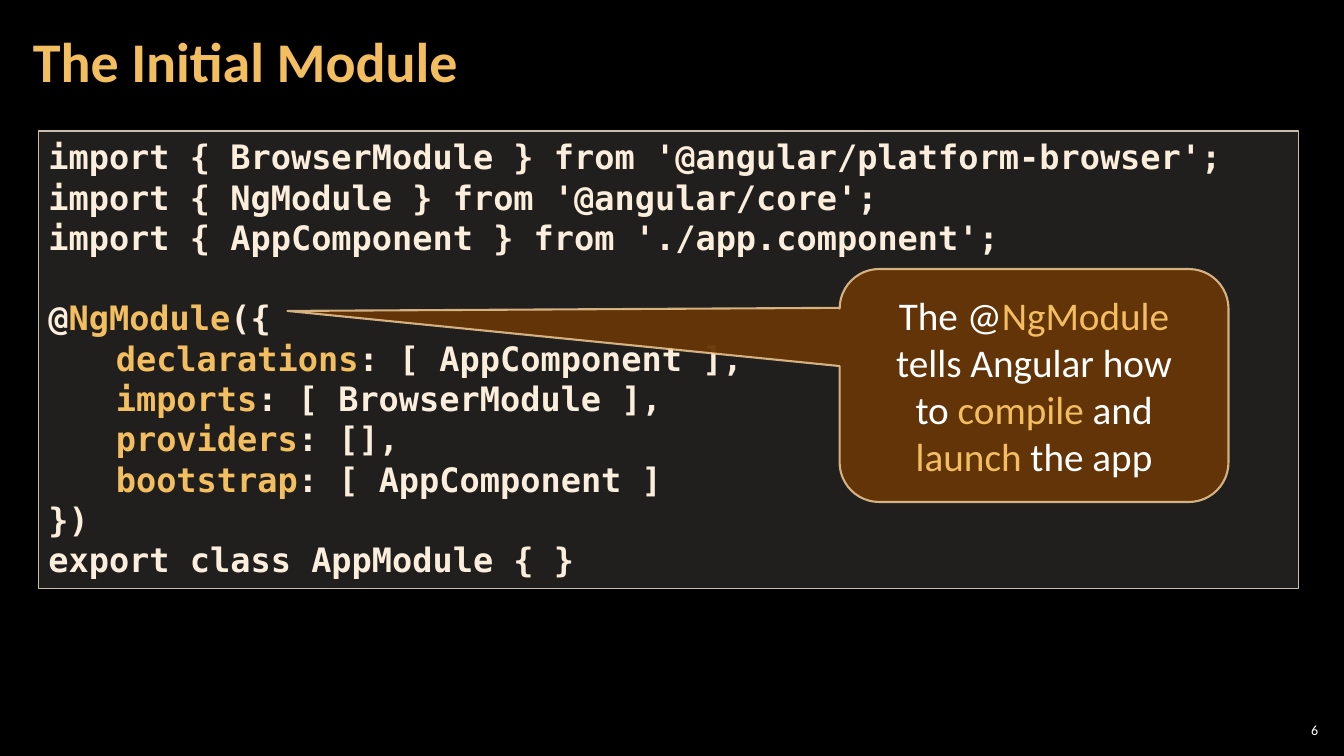
from lxml import etree
from pptx import Presentation
from pptx import util as u
from pptx.dml.color import RGBColor
from pptx.enum import shapes, text
from pptx.oxml import ns

COLORS = {
    "background": "000000",
    "accent": "F3BE60",
    "white": "FFFFFF",
    "code": "FBEEDC",
    "panel": "D9D5C7",
    "panel_edge": "C7BFAC",
    "callout": "663606",
    "callout_edge": "F8D49E",
}


def rgb(name):
    return RGBColor.from_string(COLORS[name])


class SlideBuilder:
    body_font = "Calibri"
    code_font = "DejaVu Sans Mono"

    def __init__(self, deck):
        self.slide = deck.slides.add_slide(deck.slide_layouts[6])
        self.paint(self.slide.background.fill, "background")

    def paint(self, fill, color, opacity=100):
        fill.solid()
        fill.fore_color.rgb = rgb(color)
        if opacity < 100:
            tint = fill._xPr.find(ns.qn("a:solidFill"))[0]
            etree.SubElement(tint, ns.qn("a:alpha"), val=str(opacity * 1000))

    def add_text(self, shape, paragraphs, size, color, font=None, bold=False,
                 align=text.PP_ALIGN.LEFT, anchor=text.MSO_ANCHOR.MIDDLE,
                 inset=(0.25, 0.13)):
        frame = shape.text_frame
        frame.word_wrap = True
        frame.vertical_anchor = anchor
        frame.margin_left = frame.margin_right = u.Cm(inset[0])
        frame.margin_top = frame.margin_bottom = u.Cm(inset[1])
        for index, content in enumerate(paragraphs):
            paragraph = frame.add_paragraph() if index else frame.paragraphs[0]
            paragraph.alignment = align
            for part, words in enumerate(content.split("*")):
                if not words:
                    continue
                run = paragraph.add_run()
                run.text = words
                run.font.name = font or self.body_font
                run.font.size = u.Pt(size)
                run.font.bold = bold
                run.font.color.rgb = rgb("accent" if part % 2 else color)
        return frame.paragraphs

    def label(self, box, content, size, color, **style):
        area = self.slide.shapes.add_textbox(*map(u.Cm, box))
        return self.add_text(area, [content], size, color, **style)

    def panel(self, kind, box, fill, edge, width):
        shape = self.slide.shapes.add_shape(kind, *map(u.Cm, box))
        shape.shadow.inherit = False
        self.paint(shape.fill, *fill)
        self.paint(shape.line.fill, *edge)
        shape.line.width = u.Pt(width)
        return shape

    def code(self, box, lines, gap_before, indented):
        listing = self.panel(shapes.MSO_SHAPE.RECTANGLE, box,
                             ("panel", 15), ("panel_edge",), 1)
        paragraphs = self.add_text(listing, lines, 24, "code",
                                   font=self.code_font, bold=True,
                                   anchor=text.MSO_ANCHOR.TOP)
        paragraphs[gap_before].space_before = u.Pt(28.8)
        for paragraph in paragraphs[indented]:
            paragraph.level = 1
            properties = paragraph._p.get_or_add_pPr()
            properties.set("marL", str(u.Cm(1.7)))
            properties.set("indent", "0")

    def callout(self, box, pointer, content):
        bubble = self.panel(shapes.MSO_SHAPE.ROUNDED_RECTANGULAR_CALLOUT, box,
                            ("callout", 95), ("callout_edge", 80), 1.5)
        for index, value in enumerate(pointer):
            bubble.adjustments[index] = value
        self.add_text(bubble, [content], 28, "white",
                      align=text.PP_ALIGN.CENTER, inset=(0.76, 0.25))


deck = Presentation()
deck.slide_width, deck.slide_height = u.Cm(33.87), u.Cm(19.05)
builder = SlideBuilder(deck)

builder.label((32.13, 18.14, 1.19, 0.53), "6", 10, "white",
              align=text.PP_ALIGN.RIGHT, inset=(0.1, 0.1))
title = builder.label((0.53, 0.1, 26.6, 3.07), "The Initial Module", 40,
                      "accent", bold=True, inset=(0.3, 0.1))
title[0].line_spacing = 0.9

module_source = [
    "import { BrowserModule } from '@angular/platform-browser';",
    "import { NgModule } from '@angular/core';",
    "import { AppComponent } from './app.component';",
    "@*NgModule*({",
    "*declarations*: [ AppComponent ],",
    "*imports*: [ BrowserModule ],",
    "*providers*: [],",
    "*bootstrap*: [ AppComponent ]",
    "})",
    "export class AppModule { }",
]
builder.code((0.97, 3.3, 31.75, 11.53), module_source, 3, slice(4, 8))
builder.callout((21.16, 6.78, 9.8, 5.87), (-1.92, -0.32, 0.17),
                "The @*NgModule* tells Angular how to *compile* and *launch* the app")

deck.save("out.pptx")
